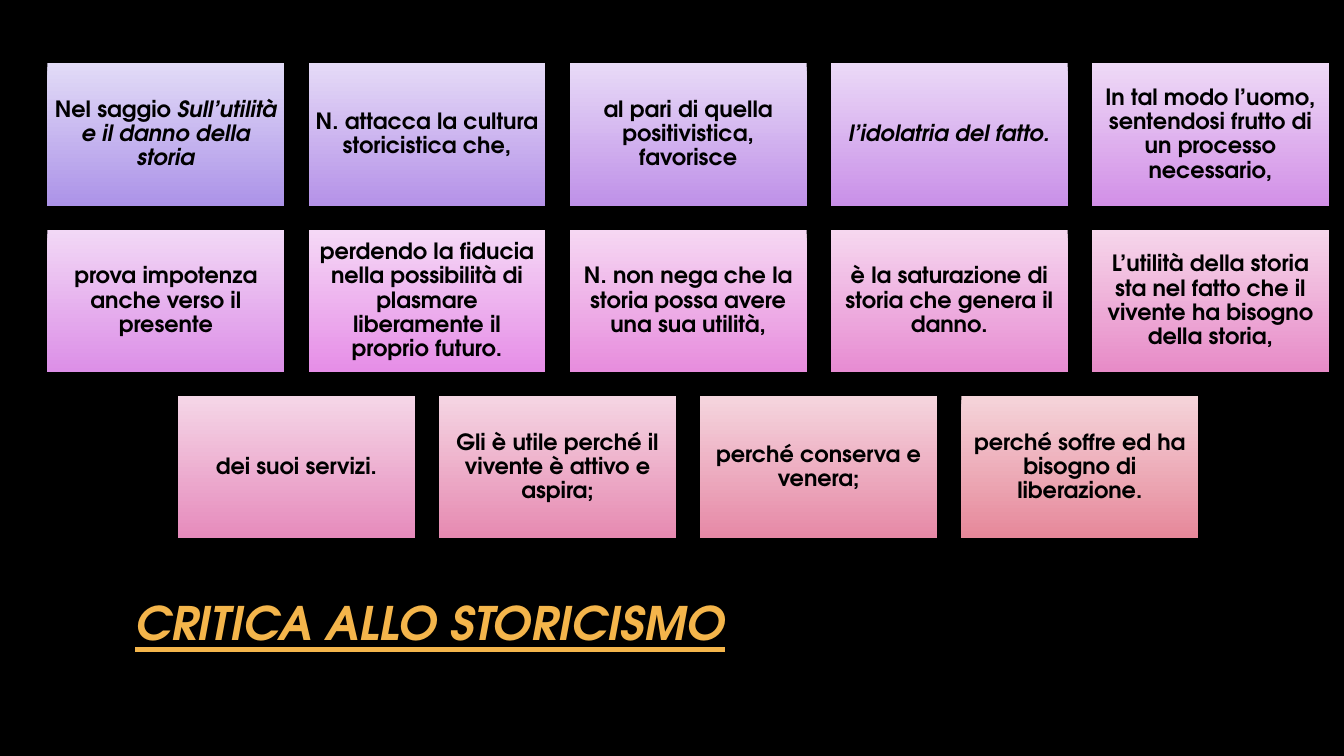
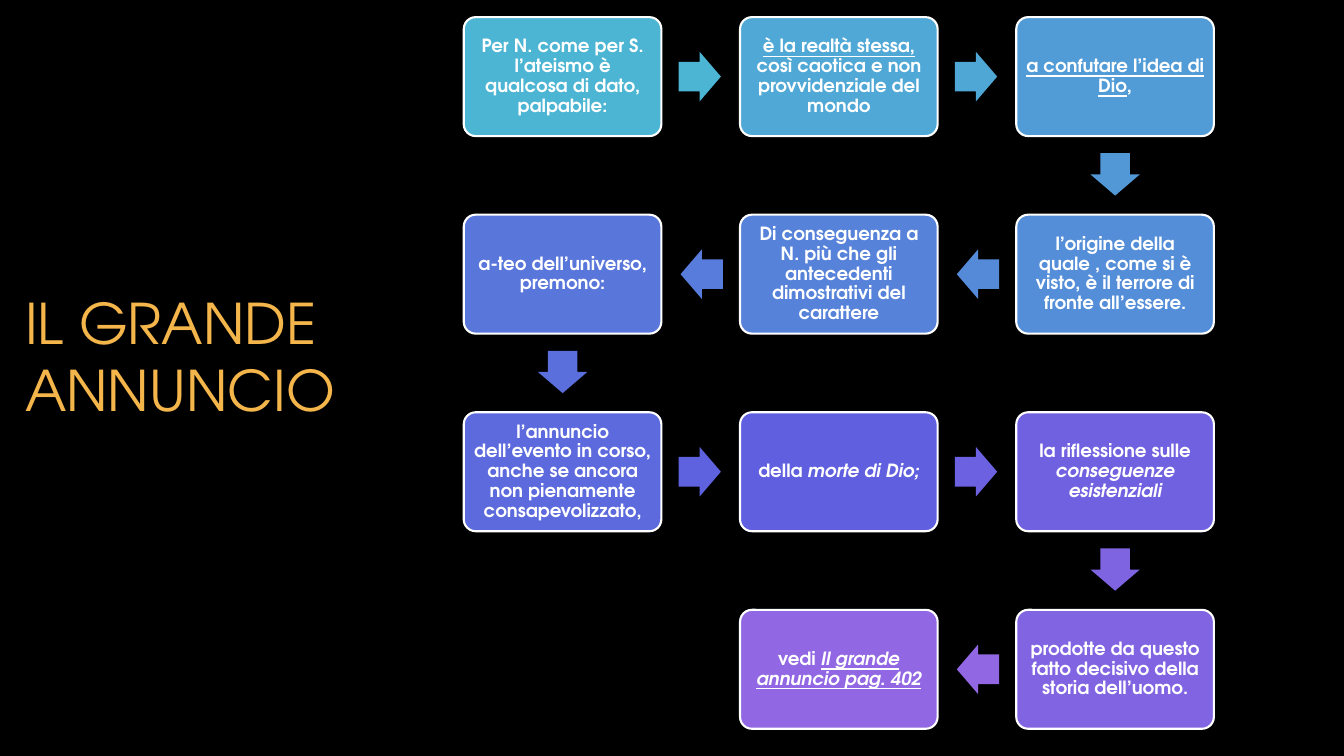
from colorsys import hls_to_rgb, rgb_to_hls
from dataclasses import dataclass
from itertools import pairwise

from pptx import Presentation
from pptx.dml.color import RGBColor
from pptx.enum.shapes import MSO_SHAPE
from pptx.enum.text import MSO_ANCHOR, MSO_AUTO_SIZE, PP_ALIGN
from pptx.util import Inches, Pt

FONT = "TeX Gyre Adventor"
COLORS = {
    "night": "000000",
    "gold": "F4B54B",
    "white": "FFFFFF",
    "lilac": "AC93E8",
    "coral": "E6889A",
    "pale lilac": "E2DBF7",
    "pale coral": "F5D4DA",
    "cyan": "4CB5D3",
    "violet": "9167E3",
}


def rgb(name):
    return RGBColor.from_string(COLORS[name])


def spectrum(first, last, count):
    start, end = (rgb_to_hls(*(part / 255 for part in rgb(name))) for name in (first, last))
    shades = []
    for step in range(count):
        share = step / (count - 1)
        hls = (a + (b - a) * share for a, b in zip(start, end))
        shades.append(RGBColor(*(round(part * 255) for part in hls_to_rgb(*hls))))
    return shades


def write(paragraph, text, color, size, bold=False, italic=False, underline=False):
    run = paragraph.add_run()
    run.text = text
    font = run.font
    font.name, font.size, font.color.rgb = FONT, Pt(size), rgb(color)
    font.bold, font.italic, font.underline = bold, italic, underline


@dataclass
class Grid:
    left: float
    top: float
    width: float
    height: float
    gap: float

    def center(self, column, row):
        return (self.left + column * (self.width + self.gap) + self.width / 2,
                self.top + row * (self.height + self.gap) + self.height / 2)


class Deck:
    def __init__(self):
        self.presentation = Presentation()
        self.presentation.slide_width = Inches(13.33)
        self.presentation.slide_height = Inches(7.5)
        backdrop = self.presentation.slide_master.background.fill
        backdrop.solid()
        backdrop.fore_color.rgb = rgb("night")
        self.slide = None

    def start(self, title, area, anchor, spacing=1.0, **style):
        layout = self.presentation.slide_layouts.get_by_name("Title Only")
        self.slide = self.presentation.slides.add_slide(layout)
        heading = self.slide.shapes.title
        heading.left, heading.top, heading.width, heading.height = map(Inches, area)
        self.fill_text(heading.text_frame, [(title, style)], anchor, PP_ALIGN.LEFT,
                       spacing, color="gold")

    def fill_text(self, frame, parts, anchor, align, spacing, **style):
        frame.word_wrap = True
        frame.auto_size = MSO_AUTO_SIZE.NONE
        frame.vertical_anchor = anchor
        paragraph = frame.paragraphs[0]
        paragraph.alignment, paragraph.line_spacing = align, spacing
        for text, accent in parts:
            write(paragraph, text, **{**style, **accent})

    def shape(self, kind, center, width, height):
        x, y = center
        figure = self.slide.shapes.add_shape(
            kind, Inches(x - width / 2), Inches(y - height / 2), Inches(width), Inches(height))
        figure.shadow.inherit = False
        figure.line.fill.background()
        return figure

    def card(self, kind, grid, cell, parts, inset, **style):
        card = self.shape(kind, grid.center(*cell), grid.width, grid.height)
        frame = card.text_frame
        frame.margin_left = frame.margin_right = Inches(inset)
        frame.margin_top = frame.margin_bottom = Inches(inset)
        self.fill_text(frame, parts, MSO_ANCHOR.MIDDLE, PP_ALIGN.CENTER, 0.9,
                       bold=True, **style)
        return card

    def gradient_card(self, grid, cell, parts, top, bottom):
        card = self.card(MSO_SHAPE.RECTANGLE, grid, cell, parts, 0.07, color="night", size=16)
        card.fill.gradient()
        card.fill.gradient_angle = 270
        for stop, shade in zip(card.fill.gradient_stops, (top, bottom)):
            stop.color.rgb = shade

    def step_card(self, grid, cell, parts, shade):
        card = self.card(MSO_SHAPE.ROUNDED_RECTANGLE, grid, cell, parts, 0.05,
                         color="white", size=13)
        card.adjustments[0] = 0.1
        card.fill.solid()
        card.fill.fore_color.rgb = shade
        card.line.color.rgb = rgb("white")
        card.line.width = Pt(1.5)

    def arrow(self, grid, origin, target, shade):
        heading = [b - a for a, b in zip(origin, target)]
        ends = zip(grid.center(*origin), grid.center(*target), heading)
        center = [(a + b) / 2 - 0.01 * way for a, b, way in ends]
        arrow = self.shape(MSO_SHAPE.RIGHT_ARROW, center, 0.42, 0.49)
        arrow.adjustments[0], arrow.adjustments[1] = 0.6, 0.5
        arrow.rotation = {(1, 0): 0, (0, 1): 90, (-1, 0): 180}[tuple(heading)]
        arrow.fill.solid()
        arrow.fill.fore_color.rgb = shade


PLAIN = {}
ITALIC = {"italic": True}
UNDERLINE = {"underline": True}

CRITIQUE = [
    [("Nel saggio ", PLAIN), ("Sull’utilità e il danno della storia", ITALIC)],
    [("N. attacca la cultura storicistica che,", PLAIN)],
    [("al pari di quella positivistica, favorisce", PLAIN)],
    [("l’idolatria del fatto.", ITALIC)],
    [("In tal modo l’uomo, sentendosi frutto di un processo necessario,", PLAIN)],
    [("prova impotenza anche verso il presente", PLAIN)],
    [("perdendo la fiducia nella possibilità di plasmare liberamente il proprio futuro.", PLAIN)],
    [("N. non nega che la storia possa avere una sua utilità,", PLAIN)],
    [("è la saturazione di storia che genera il danno.", PLAIN)],
    [("L’utilità della storia sta nel fatto che il vivente ha bisogno della storia,", PLAIN)],
    [("dei suoi servizi.", PLAIN)],
    [("Gli è utile perché il vivente è attivo e aspira;", PLAIN)],
    [("perché conserva e venera;", PLAIN)],
    [("perché soffre ed ha bisogno di liberazione.", PLAIN)],
]
ANNOUNCEMENT = [
    [("Per N. come per S. l’ateismo è qualcosa di dato, palpabile:", PLAIN)],
    [("è la realtà stessa, ", UNDERLINE),
     ("così caotica e non provvidenziale del mondo", PLAIN)],
    [("a confutare l’idea di Dio", UNDERLINE), (",", PLAIN)],
    [("l’origine della quale , come si è visto, è il terrore di fronte all’essere.", PLAIN)],
    [("Di conseguenza a N. più che gli antecedenti dimostrativi del carattere", PLAIN)],
    [("a-teo dell’universo, premono:", PLAIN)],
    [("l’annuncio dell’evento in corso, anche se ancora non pienamente consapevolizzato,", PLAIN)],
    [("della ", PLAIN), ("morte di Dio;", ITALIC)],
    [("la riflessione sulle ", PLAIN), ("conseguenze esistenziali", ITALIC)],
    [("prodotte da questo fatto decisivo della storia dell’uomo.", PLAIN)],
    [("vedi ", PLAIN), ("Il grande annuncio pag. 402", ITALIC | UNDERLINE)],
]


def build_critique(deck):
    deck.start("CRITICA ALLO STORICISMO", (1.24, 5.91, 10.85, 1.16), MSO_ANCHOR.TOP,
               spacing=0.9, size=33, bold=True, italic=True, underline=True)
    grid = Grid(left=0.47, top=0.63, width=2.35, height=1.41, gap=0.24)
    columns, count = 5, len(CRITIQUE)
    tops = spectrum("pale lilac", "pale coral", count)
    bottoms = spectrum("lilac", "coral", count)
    for index, parts in enumerate(CRITIQUE):
        row, column = divmod(index, columns)
        in_row = min(columns, count - row * columns)
        cell = (column + (columns - in_row) / 2, row)
        deck.gradient_card(grid, cell, parts, tops[index], bottoms[index])


def build_announcement(deck):
    deck.start("IL GRANDE ANNUNCIO", (0.15, 1.52, 3.31, 4.02), MSO_ANCHOR.MIDDLE, size=40)
    grid = Grid(left=4.6, top=0.17, width=1.96, height=1.18, gap=0.78)
    columns, count = 3, len(ANNOUNCEMENT)
    cells = []
    for index in range(count):
        row, column = divmod(index, columns)
        cells.append((columns - 1 - column if row % 2 else column, row))
    for cell, parts, shade in zip(cells, ANNOUNCEMENT, spectrum("cyan", "violet", count)):
        deck.step_card(grid, cell, parts, shade)
    for (origin, target), shade in zip(pairwise(cells), spectrum("cyan", "violet", count - 1)):
        deck.arrow(grid, origin, target, shade)


deck = Deck()
build_critique(deck)
build_announcement(deck)
deck.presentation.save("out.pptx")
